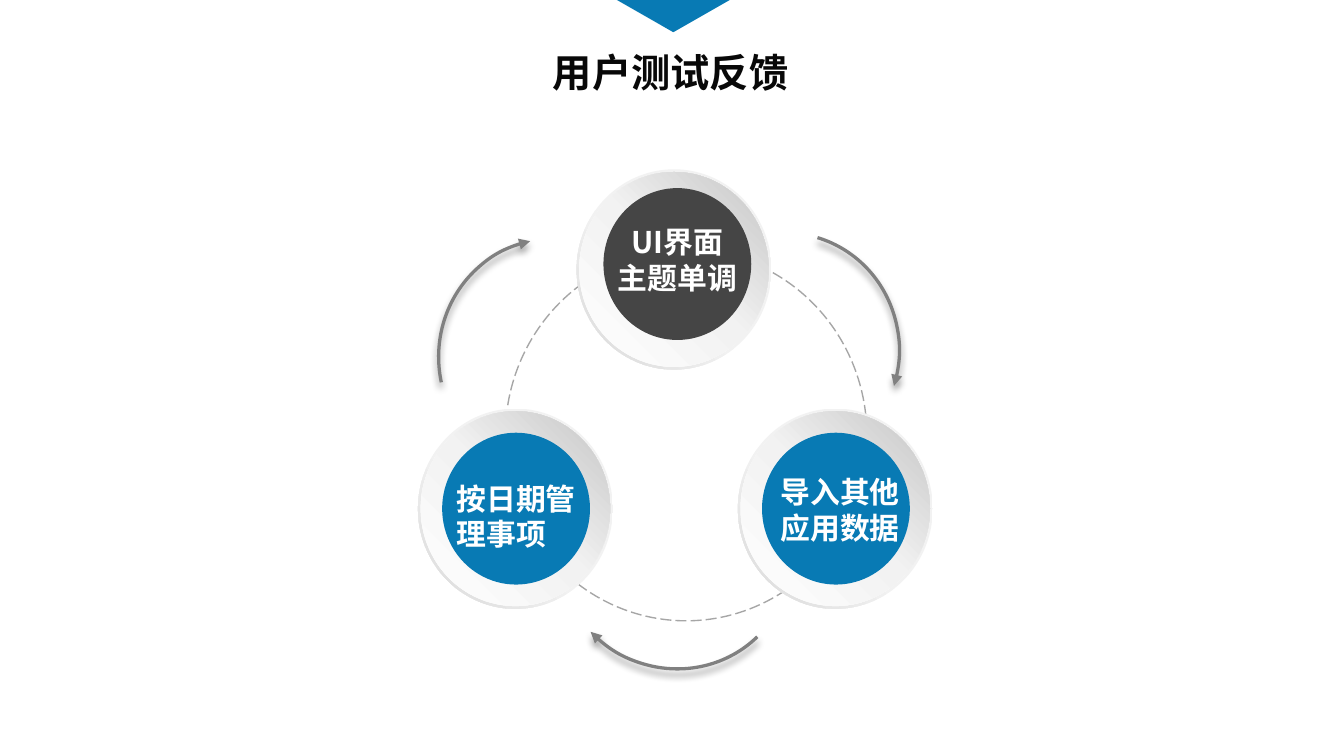
import copy

import pptx
import pptx.dml.color
import pptx.enum.dml
import pptx.enum.shapes
import pptx.enum.text
import pptx.oxml
import pptx.oxml.ns
import pptx.util

PX = 9144  # 100 px to the inch
BLUE, DARK, WHITE = "087AB4", "454545", "FFFFFF"
CJK_FONT = "Noto Sans CJK SC"
A_NS = 'xmlns:a="http://schemas.openxmlformats.org/drawingml/2006/main"'
SHAPES = pptx.enum.shapes.MSO_SHAPE
ALIGN = pptx.enum.text.PP_ALIGN
rgb = pptx.dml.color.RGBColor.from_string

presentation = pptx.Presentation()
presentation.slide_width = 1000 * PX
presentation.slide_height = 1000 * PX * 9 // 16
slide = presentation.slides.add_slide(presentation.slide_layouts[5])


def add_shape(kind, box, fill=None, stops=None, angle=0, line=None, width=1):
    """Add a preset shape with a solid fill, a gradient (clockwise angle) or none."""
    shape = slide.shapes.add_shape(kind, *[value * PX for value in box])
    shape.shadow.inherit = False
    if stops:
        shape.fill.gradient()
        shape.fill.gradient_angle = 360 - angle
        stop_list = shape._element.spPr.find(".//" + pptx.oxml.ns.qn("a:gsLst"))
        stop_list.append(copy.deepcopy(stop_list[-1]))
        for stop, (position, color) in zip(shape.fill.gradient_stops, stops):
            stop.position = position
            stop.color.rgb = rgb(color)
    elif fill:
        shape.fill.solid()
        shape.fill.fore_color.rgb = rgb(fill)
    else:
        shape.fill.background()
    if line:
        shape.line.color.rgb = rgb(line)
        shape.line.width = pptx.util.Pt(width)
    else:
        shape.line.fill.background()
    return shape


def write_text(text, box, shape=None, size=16, color=WHITE, font=CJK_FONT,
               align=ALIGN.LEFT, spacing=None):
    """Write bold text, one paragraph a line, in a shape or a new text box."""
    shape = shape or slide.shapes.add_textbox(0, 0, 0, 0)
    shape.left, shape.top, shape.width, shape.height = [value * PX for value in box]
    frame = shape.text_frame
    frame.word_wrap = True
    frame.auto_size = pptx.enum.text.MSO_AUTO_SIZE.NONE
    frame.vertical_anchor = pptx.enum.text.MSO_ANCHOR.MIDDLE
    frame.text = text
    for paragraph in frame.paragraphs:
        paragraph.alignment = align
        if spacing:
            paragraph.line_spacing = pptx.util.Pt(spacing)
        run = paragraph.runs[0]
        run.font.size = pptx.util.Pt(size)
        run.font.bold = True
        run.font.color.rgb = rgb(color)
        run.font.name = font
        run.font._element.append(
            pptx.oxml.parse_xml(f'<a:ea {A_NS} typeface="{CJK_FONT}"/>'))


# Title and the pointer above it
write_text("用户测试反馈", (341, 31, 316, 45), shape=slide.shapes.title,
           size=21, color="080808", font="Calibri", align=ALIGN.CENTER)
builder = slide.shapes.build_freeform(459, 0, scale=PX)
builder.add_line_segments([(543, 0), (501, 24)], close=True)
pointer = builder.convert_to_shape()
pointer.shadow.inherit = False
pointer.fill.solid()
pointer.fill.fore_color.rgb = rgb(BLUE)
pointer.line.fill.background()

# Dashed ring behind the nodes
ring = add_shape(SHAPES.OVAL, (376, 186, 269, 276), line="A6A6A6", width=0.75)
ring.line.dash_style = pptx.enum.dml.MSO_LINE.LONG_DASH

# Nodes: rim, ball, coloured core and label
RIM_STOPS = [(0, "F2F2F2"), (0.55, "F2F2F2"), (1, "D9D9D9")]
BALL_STOPS = [(0, WHITE), (0.51, "F2F2F2"), (1, "C5C5C5")]
nodes = [
    ("UI界面\n主题单调", (429, 126), (449, 140), DARK, (440, 161, 128, 64), ALIGN.CENTER),
    ("按日期管理事项", (311, 304), (329, 322), BLUE, (330, 352, 116, 64), ALIGN.LEFT),
    ("导入其他应用数据", (549, 304), (567, 322), BLUE, (571, 347, 110, 64), ALIGN.LEFT),
]
for label, (left, top), core, color, label_box, align in nodes:
    rim = add_shape(SHAPES.DONUT, (left, top, 145, 149), stops=RIM_STOPS, angle=135)
    rim.adjustments[0] = 0.05
    add_shape(SHAPES.OVAL, (left + 2, top + 2, 141, 145), stops=BALL_STOPS, angle=315)
    add_shape(SHAPES.OVAL, (*core, 110, 113), fill=color)
    write_text(label, label_box, align=align, spacing=19.2)

# Arrows around the ring
arrows = [
    ((496, 173, 173, 178), 16.9),
    ((415, 321, 173, 178), 135.9),
    ((324, 180, 178, 173), 258),
]
for box, rotation in arrows:
    arrow = add_shape(SHAPES.ARC, box, line="808080", width=1.75)
    arrow.rotation = rotation
    arrow.line._get_or_add_ln().append(
        pptx.oxml.parse_xml(f'<a:tailEnd {A_NS} type="triangle"/>'))
    effects = arrow._element.spPr.find(pptx.oxml.ns.qn("a:effectLst"))
    effects.append(pptx.oxml.parse_xml(
        f'<a:outerShdw {A_NS} blurRad="50800" dist="38100" dir="5400000" rotWithShape="0">'
        '<a:srgbClr val="000000"><a:alpha val="40000"/></a:srgbClr></a:outerShdw>'))

presentation.save("out.pptx")
